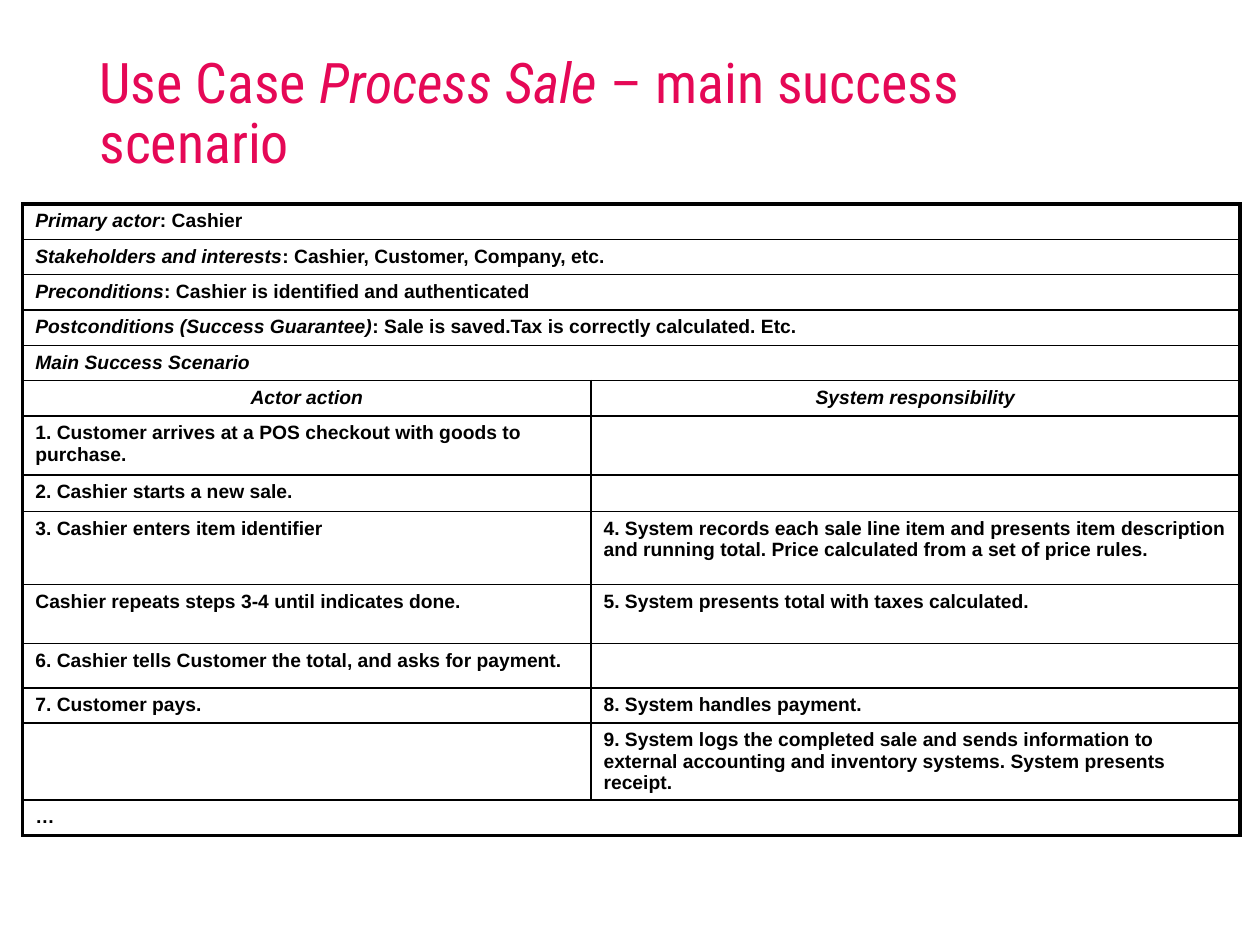
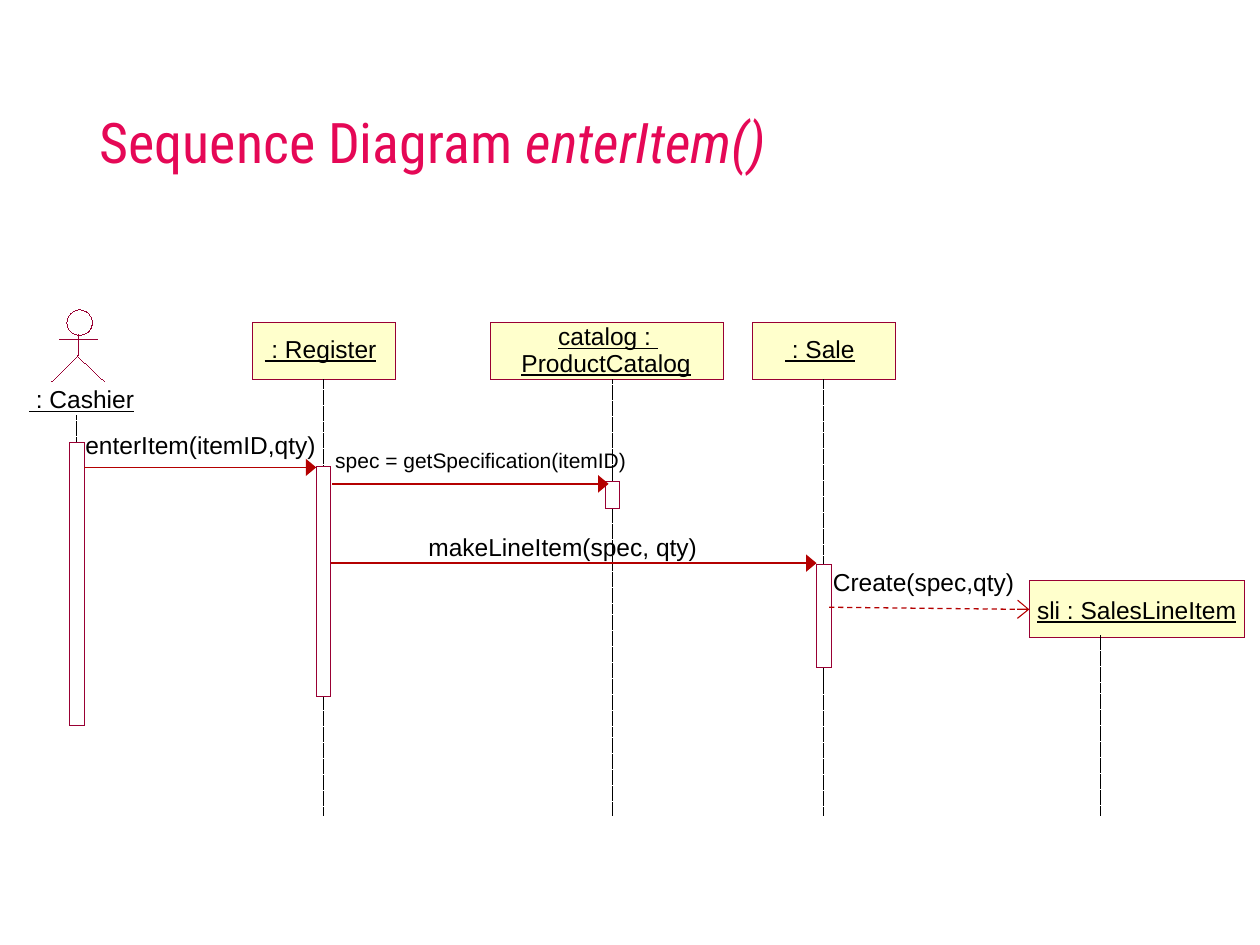
from lxml import etree
from pptx import Presentation
from pptx.dml.color import RGBColor
from pptx.enum import dml, shapes, text
from pptx.oxml.ns import qn
from pptx.util import Pt

BODY_FONT, TITLE_FONT = "Arial", "Roboto Condensed"
BLACK, WHITE, PINK = "000000", "FFFFFF", "E50856"
MAROON, RED, CREAM = "990033", "B40000", "FFFFCC"
HAIRLINE = 0.01  # a width of 0 would fall back to the theme's line width

# Runs are (text, italic)
USE_CASE_TITLE = [("Use Case ", False), ("Process Sale ", True),
                  ("– main success scenario", False)]
SEQUENCE_TITLE = [("Sequence Diagram ", False), ("enterItem()", True)]

# Rows are (height, cells); a single cell spans both columns
TABLE_LEFT, TABLE_TOP = 13, 116.6
COLUMN_WIDTHS = [324.7, 370.8]
USE_CASE_ROWS = [
    (20.2, [[("Primary actor", True), (": Cashier", False)]]),
    (20.2, [[("Stakeholders and interests", True),
             (": Cashier, Customer, Company, etc.", False)]]),
    (20.2, [[("Preconditions", True), (": Cashier is identified and authenticated", False)]]),
    (20.2, [[("Postconditions (Success Guarantee)", True),
             (": Sale is saved.Tax is correctly calculated. Etc.", False)]]),
    (20.2, [[("Main Success Scenario", True)]]),
    (20.2, [[("Actor action", True)], [("System responsibility", True)]]),
    (33.8, [[("1. Customer arrives at a POS checkout with goods to purchase.", False)], []]),
    (20.2, [[("2. Cashier starts a new sale.", False)], []]),
    (41.8, [[("3. Cashier enters item identifier", False)],
            [("4. System records each sale line item and presents item description and "
              "running total. Price calculated from a set of price rules.", False)]]),
    (33.8, [[("Cashier repeats steps 3-4 until indicates done.", False)],
            [("5. System presents total with taxes calculated.", False)]]),
    (25.2, [[("6. Cashier tells Customer the total, and asks for payment.", False)], []]),
    (20.2, [[("7. Customer pays.", False)], [("8. System handles payment.", False)]]),
    (39.6, [[], [("9. System logs the completed sale and sends information to external "
                  "accounting and inventory systems. System presents receipt.", False)]]),
    (20.2, [[("…", False)]]),
]
HEADING_ROW = 5

BOX_HEIGHT, BAR_WIDTH, LIFELINE_END = 32.5, 8.4, 466
# Participants: box (left, top, width), lifeline (x, top, bottom), activation bar (top, height)
PARTICIPANTS = {
    "cashier": dict(box=None, lifeline=(44, 237.6, 267), bar=(252.7, 162)),
    "register": dict(box=(144, 184.4, 82), lifeline=(185, 217, LIFELINE_END),
                     bar=(266.4, 131.8)),
    "catalog": dict(box=(280, 184.4, 133.2), lifeline=(350, 217, LIFELINE_END),
                    bar=(275, 15.8)),
    "sale": dict(box=(429.8, 184.4, 82), lifeline=(470.8, 217, LIFELINE_END),
                 bar=(322.6, 59)),
    "line item": dict(box=(588.2, 332, 123.2), lifeline=(628.6, 363, LIFELINE_END), bar=None),
}
# Labels: text, left, top, width, size, underlined
LABELS = [
    (" : Cashier", 16.6, 219.6, 64, 14, True),
    (" : Register", 151.2, 190.8, 68.4, 14, True),
    ("catalog : ", 319, 183.6, 60.5, 14, True),
    ("ProductCatalog", 298, 198.7, 103, 14, True),
    (" : Sale", 448.6, 190.8, 42.5, 14, True),
    ("sli : SalesLineItem", 592.6, 339.8, 127.4, 14, True),
    ("enterItem(itemID,qty)", 48.8, 245.5, 132.5, 14, False),
    ("spec = getSpecification(itemID)", 191.6, 255.6, 167.8, 12, False),
    ("makeLineItem(spec, qty)", 244.8, 303.8, 163.4, 14, False),
    ("Create(spec,qty)", 475.9, 324, 104.4, 14, False),
]
CALLS = [((48.2, 267.1), (180.7, 267.1)), ((190, 276.5), (347.8, 276.5)),
         ((189.4, 321.8), (466.6, 321.8))]
CREATE_START = (473.8, 347)


def color(value):
    return RGBColor.from_string(value)


def add_runs(paragraph, runs, font_name, size, fill, bold=False):
    for content, italic in runs:
        run = paragraph.add_run()
        run.text = content
        font = run.font
        font.name, font.size, font.bold, font.italic = font_name, Pt(size), bold, italic
        font.color.rgb = color(fill)


def add_titled_slide(presentation, runs):
    slide = presentation.slides.add_slide(presentation.slide_layouts[5])
    title = slide.shapes.title
    title.left, title.top, title.width, title.height = Pt(49.7), Pt(28.4), Pt(620.6), Pt(75.6)
    frame = title.text_frame
    frame.vertical_anchor = text.MSO_ANCHOR.BOTTOM
    frame.auto_size = text.MSO_AUTO_SIZE.NONE
    paragraph = frame.paragraphs[0]
    paragraph.alignment = text.PP_ALIGN.LEFT
    paragraph.line_spacing = 0.9
    add_runs(paragraph, runs, TITLE_FONT, 32, PINK)
    return slide


def set_borders(cell, widths):
    """Draw the cell's borders, widths in the order left, right, top, bottom."""
    properties = cell._tc.get_or_add_tcPr()
    for index, (side, width) in enumerate(zip("LRTB", widths)):
        border = etree.Element(qn(f"a:ln{side}"), w=str(Pt(width)))
        fill = etree.SubElement(border, qn("a:solidFill"))
        etree.SubElement(fill, qn("a:srgbClr"), val=BLACK)
        properties.insert(index, border)


def add_use_case_table(slide):
    last_row = len(USE_CASE_ROWS) - 1
    height = sum(row_height for row_height, _ in USE_CASE_ROWS)
    table = slide.shapes.add_table(len(USE_CASE_ROWS), 2, Pt(TABLE_LEFT), Pt(TABLE_TOP),
                                   Pt(sum(COLUMN_WIDTHS)), Pt(height)).table
    table.first_row = table.horz_banding = False
    for column, width in zip(table.columns, COLUMN_WIDTHS):
        column.width = Pt(width)
    for row, (row_height, contents) in enumerate(USE_CASE_ROWS):
        table.rows[row].height = Pt(row_height)
        spans = len(contents) == 1
        if spans:
            table.cell(row, 0).merge(table.cell(row, 1))
        for column in range(2):
            cell = table.cell(row, column)
            cell.fill.background()
            set_borders(cell, (2.25 if column == 0 or spans else 1,
                               2.25 if column == 1 or spans else 1,
                               2.25 if row == 0 else 1,
                               2.25 if row == last_row else 1))
            paragraph = cell.text_frame.paragraphs[0]
            if row == HEADING_ROW:
                paragraph.alignment = text.PP_ALIGN.CENTER
            if column < len(contents):
                add_runs(paragraph, contents[column], BODY_FONT, 11, BLACK, bold=True)
            etree.SubElement(paragraph._p, qn("a:endParaRPr"), sz="1100")


def style_outline(shape, fill=None):
    shape.shadow.inherit = False
    if fill:
        shape.fill.solid()
        shape.fill.fore_color.rgb = color(fill)
    else:
        shape.fill.background()
    shape.line.color.rgb = color(MAROON)
    shape.line.width = Pt(HAIRLINE)


def add_outlined(slide, kind, left, top, width, height, fill=None):
    shape = slide.shapes.add_shape(kind, Pt(left), Pt(top), Pt(width), Pt(height))
    style_outline(shape, fill)
    return shape


def add_line(slide, start, end, stroke, width=HAIRLINE, dash=None, head=None):
    line = slide.shapes.add_connector(shapes.MSO_CONNECTOR.STRAIGHT,
                                      *(Pt(value) for value in (*start, *end)))
    line.line.color.rgb = color(stroke)
    line.line.width = Pt(width)
    if dash:
        line.line.dash_style = dash
    if head:
        etree.SubElement(line.line._get_or_add_ln(), qn("a:tailEnd"),
                         type=head, w="lg", len="med")
    etree.SubElement(line._element.spPr, qn("a:effectLst"))
    return line


def add_actor(slide):
    add_outlined(slide, shapes.MSO_SHAPE.OVAL, 38.2, 177, 14.6, 14.6)
    add_line(slide, (44.6, 191), (44.6, 203.4), MAROON)
    add_line(slide, (33.8, 193.8), (55.6, 193.8), MAROON)
    legs = slide.shapes.build_freeform(Pt(29.5), Pt(218))
    legs.add_line_segments([(Pt(44.3), Pt(203.4)), (Pt(59.8), Pt(218))], close=False)
    style_outline(legs.convert_to_shape())


def add_participant(slide, box, lifeline, bar):
    """Add box, lifeline and activation bar; return the box, if there is one."""
    rectangle = shapes.MSO_SHAPE.RECTANGLE
    box_shape = None
    if box:
        box_shape = add_outlined(slide, rectangle, *box, BOX_HEIGHT, CREAM)
    x, top, bottom = lifeline
    line = add_line(slide, (x, top), (x, bottom), BLACK, dash=dml.MSO_LINE.SQUARE_DOT)
    if box and abs(box[0] + box[2] / 2 - x) < 0.5:
        line.begin_connect(box_shape, 2)
    if bar:
        add_outlined(slide, rectangle, x - BAR_WIDTH / 2, bar[0], BAR_WIDTH, bar[1], WHITE)
    return box_shape


def add_label(slide, content, left, top, width, size, underlined):
    label = slide.shapes.add_textbox(Pt(left), Pt(top), Pt(width), Pt(size * 1.25))
    frame = label.text_frame
    frame.margin_left = frame.margin_right = frame.margin_top = frame.margin_bottom = 0
    frame.word_wrap = False
    frame.auto_size = text.MSO_AUTO_SIZE.SHAPE_TO_FIT_TEXT
    add_runs(frame.paragraphs[0], [(content, False)], BODY_FONT, size, BLACK)
    frame.paragraphs[0].runs[0].font.underline = underlined


def add_sequence_diagram(slide):
    add_actor(slide)
    boxes = {name: add_participant(slide, **parts) for name, parts in PARTICIPANTS.items()}
    for label in LABELS:
        add_label(slide, *label)
    for start, end in CALLS:
        add_line(slide, start, end, RED, 0.75, head="triangle")
    create = add_line(slide, CREATE_START, (588.2, 348.2), RED, 0.75,
                      dml.MSO_LINE.DASH, "arrow")
    create.end_connect(boxes["line item"], 1)


def main():
    presentation = Presentation()
    presentation.slide_width, presentation.slide_height = Pt(720), Pt(540)
    add_use_case_table(add_titled_slide(presentation, USE_CASE_TITLE))
    add_sequence_diagram(add_titled_slide(presentation, SEQUENCE_TITLE))
    presentation.save("out.pptx")


if __name__ == "__main__":
    main()
